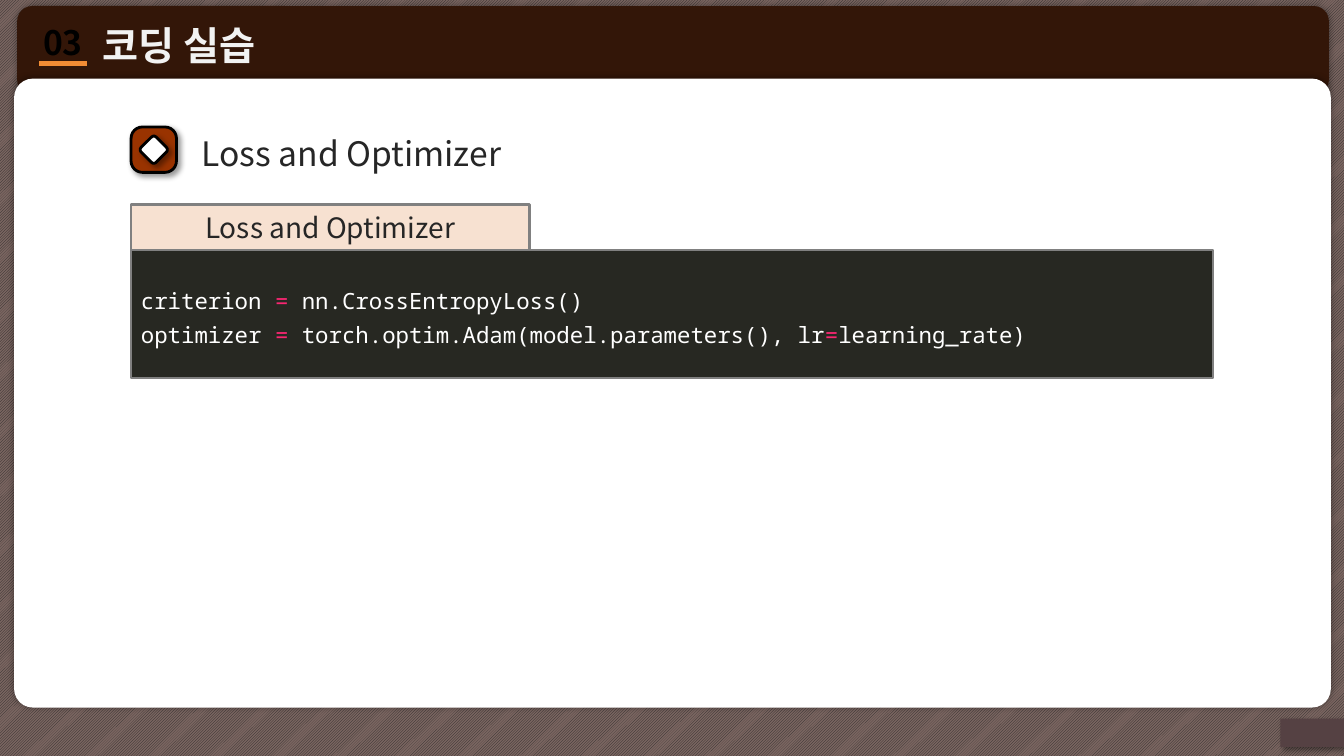
"""Build the coding practice slide on loss and optimizer."""
from pptx import Presentation
from pptx.dml.color import RGBColor
from pptx.enum import dml, shapes, text
from pptx.oxml import ns
from pptx.util import Inches, Pt
from lxml import etree

BLACK = RGBColor(0x00, 0x00, 0x00)
WHITE = RGBColor(0xFF, 0xFF, 0xFF)
DARK = RGBColor(0x26, 0x26, 0x26)
TAUPE = RGBColor(0x7A, 0x65, 0x60)
BROWN = RGBColor(0x33, 0x16, 0x08)
PLUM = RGBColor(0x55, 0x41, 0x43)
ORANGE = RGBColor(0xF2, 0x8C, 0x34)
PALE = RGBColor(0xF2, 0xF2, 0xF2)
RUST = RGBColor(0x99, 0x33, 0x00)
PEACH = RGBColor(0xF7, 0xE1, 0xD1)
GRAY = RGBColor(0x80, 0x80, 0x80)
EDITOR = RGBColor(0x27, 0x28, 0x22)
PINK = RGBColor(0xF9, 0x26, 0x72)

SANS = "Noto Sans CJK KR"
MONO = "Noto Sans Mono"
RECT = shapes.MSO_SHAPE.RECTANGLE
ROUND = shapes.MSO_SHAPE.ROUNDED_RECTANGLE
GLOW = (5, 0, 0)
DROP = (4, 3, 45)
CODE = [
    [("criterion ", WHITE), ("= ", PINK), ("nn.CrossEntropyLoss()", WHITE)],
    [("optimizer ", WHITE), ("= ", PINK),
     ("torch.optim.Adam(model.parameters(), lr", WHITE), ("=", PINK),
     ("learning_rate)", WHITE)],
]


def add_shadow(sp, blur, distance, angle):
    effects = sp.element.spPr.find(ns.qn("a:effectLst"))
    outer = etree.SubElement(
        effects, ns.qn("a:outerShdw"), blurRad=str(Pt(blur)),
        dist=str(Pt(distance)), dir=str(angle * 60000), algn="ctr",
        rotWithShape="0")
    color = etree.SubElement(outer, ns.qn("a:srgbClr"), val=str(BLACK))
    etree.SubElement(color, ns.qn("a:alpha"), val="40000")


def add_box(parent, kind, box, fill, line=None, shadow=None, adj=None):
    sp = parent.add_shape(kind, *map(Inches, box))
    sp.shadow.inherit = False
    sp.fill.solid()
    sp.fill.fore_color.rgb = fill
    if line:
        sp.line.color.rgb = line[0]
        sp.line.width = Pt(line[1])
    else:
        sp.line.fill.background()
    if shadow:
        add_shadow(sp, *shadow)
    if adj is not None:
        sp.adjustments[0] = adj
    return sp


def style_run(r, size, color, font=SANS, bold=False):
    r.font.size = Pt(size)
    r.font.name = font
    r.font.bold = bold
    r.font.color.rgb = color
    etree.SubElement(r.font._element, ns.qn("a:ea"), typeface=font)


def set_text(sp, words, size, color, align=text.PP_ALIGN.LEFT, bold=False,
             anchor=text.MSO_ANCHOR.MIDDLE, inset=None, wrap=True):
    tf = sp.text_frame
    tf.text = words
    tf.word_wrap = wrap
    tf.auto_size = text.MSO_AUTO_SIZE.NONE
    tf.vertical_anchor = anchor
    if inset is not None:
        tf.margin_left = tf.margin_right = Inches(inset)
        tf.margin_top = tf.margin_bottom = Inches(inset)
    p = tf.paragraphs[0]
    p.alignment = align
    style_run(p.runs[0], size, color, bold=bold)


def add_background(s):
    sp = add_box(s.shapes, RECT, (-0.02, -0.09, 13.38, 7.67), TAUPE)
    sp.fill.patterned()
    sp.fill.pattern = dml.MSO_PATTERN.LIGHT_UPWARD_DIAGONAL
    sp.fill.fore_color.rgb = DARK
    sp.fill.back_color.rgb = TAUPE
    add_box(s.shapes, ROUND, (0.17, 0.06, 13.01, 0.88), BROWN, None, GLOW, 0.17)
    add_box(s.shapes, ROUND, (0.14, 0.78, 13.06, 6.24), WHITE, None, GLOW, 0.03)
    add_box(s.shapes, ROUND, (12.7, 7.13, 0.66, 0.28), PLUM, None, DROP, 0)


def add_header(s):
    line = s.shapes.add_connector(
        shapes.MSO_CONNECTOR.STRAIGHT,
        Inches(0.39), Inches(0.63), Inches(0.86), Inches(0.63))
    line.line.color.rgb = ORANGE
    line.line.width = Pt(3)
    etree.SubElement(line.element.spPr, ns.qn("a:effectLst"))
    number = s.shapes.add_textbox(*map(Inches, (0.3, 0.17, 0.65, 0.5)))
    set_text(number, "03", 24, BLACK, text.PP_ALIGN.CENTER, bold=True,
             anchor=text.MSO_ANCHOR.TOP, wrap=False)
    title = s.shapes.title
    title.left, title.top, title.width, title.height = map(
        Inches, (0.95, 0.14, 8.6, 0.6))
    set_text(title, "코딩 실습", 28, PALE, bold=True, inset=0.07)
    title.element.getparent().append(title.element)


def add_heading(s, words):
    sp = s.shapes.add_textbox(*map(Inches, (1.93, 1.25, 8.13, 0.54)))
    set_text(sp, words, 24, DARK, inset=0.07)
    icon = s.shapes.add_group_shape()
    add_box(icon.shapes, ROUND, (1.3, 1.26, 0.45, 0.45), RUST,
            (BLACK, 2), DROP, 0.25)
    diamond = add_box(icon.shapes, ROUND, (1.42, 1.38, 0.21, 0.21), WHITE,
                      (BLACK, 2), DROP, 0.15)
    diamond.rotation = 45


def add_code(s, caption, lines):
    border = (GRAY, 1.75)
    tab = add_box(s.shapes, RECT, (1.3, 2.03, 3.95, 0.45), PEACH, border)
    set_text(tab, caption, 20, DARK, text.PP_ALIGN.CENTER)
    panel = add_box(s.shapes, RECT, (1.3, 2.48, 10.73, 1.27), EDITOR, border)
    tf = panel.text_frame
    tf.word_wrap = True
    tf.vertical_anchor = text.MSO_ANCHOR.MIDDLE
    for i, tokens in enumerate(lines):
        p = tf.add_paragraph() if i else tf.paragraphs[0]
        p.alignment = text.PP_ALIGN.LEFT
        p.line_spacing = Pt(24)
        for words, color in tokens:
            r = p.add_run()
            r.text = words
            style_run(r, 16, color, MONO)


def main():
    prs = Presentation()
    prs.slide_width, prs.slide_height = Inches(13.33), Inches(7.5)
    s = prs.slides.add_slide(prs.slide_layouts[5])
    add_background(s)
    add_header(s)
    add_heading(s, "Loss and Optimizer")
    add_code(s, "Loss and Optimizer", CODE)
    prs.save("out.pptx")


if __name__ == "__main__":
    main()
